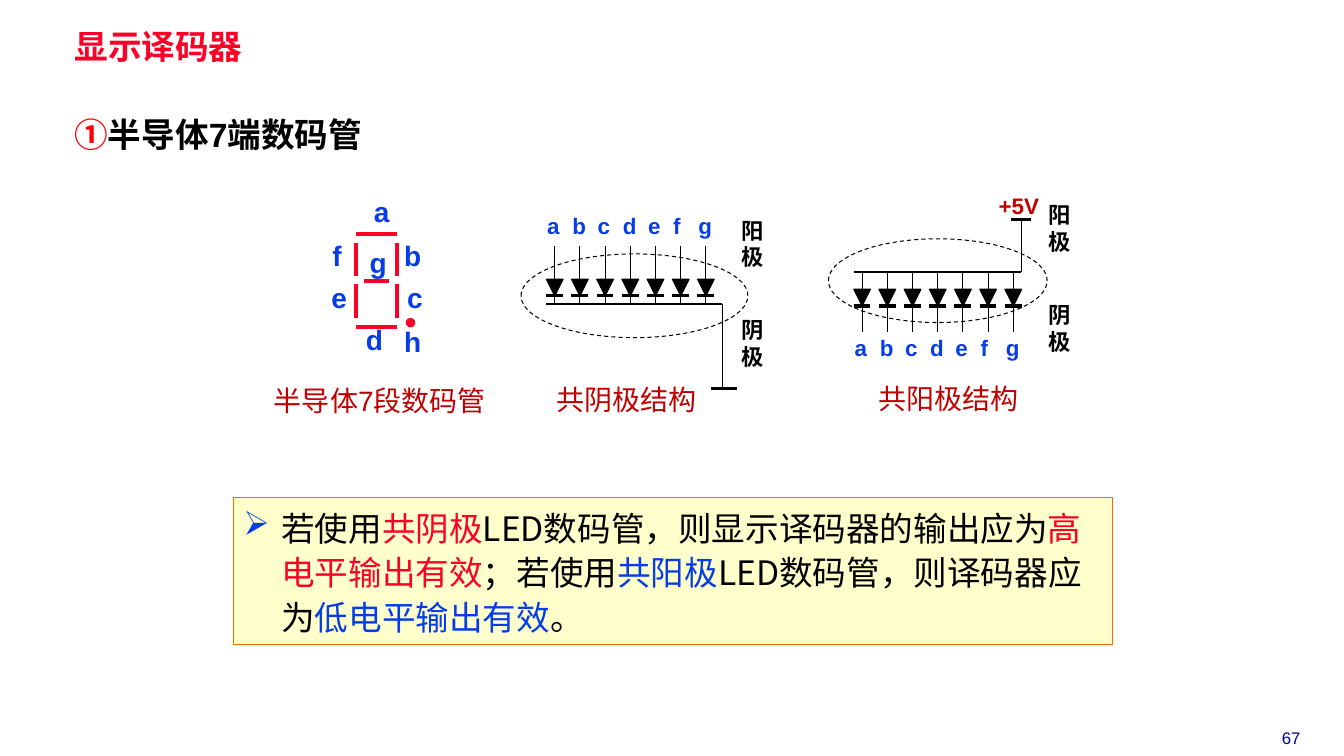
import pptx
import pptx.util
import pptx.dml.color
import pptx.enum.dml
import pptx.enum.shapes
import pptx.enum.text
import pptx.oxml.ns
from lxml import etree

Pt = pptx.util.Pt
RGBColor = pptx.dml.color.RGBColor
SHAPE = pptx.enum.shapes.MSO_SHAPE
ALIGN = pptx.enum.text.PP_ALIGN
qn = pptx.oxml.ns.qn

BLACK = RGBColor(0x00, 0x00, 0x00)
RED = RGBColor(0xFC, 0x01, 0x28)
NUMBER_RED = RGBColor(0xFF, 0x00, 0x00)
BLUE = RGBColor(0x06, 0x3D, 0xE8)
DARK_RED = RGBColor(0xC0, 0x00, 0x00)
NAVY = RGBColor(0x00, 0x00, 0x99)
CREAM = RGBColor(0xFF, 0xFF, 0xCC)
ORANGE = RGBColor(0xFF, 0x66, 0x00)
CJK = "Noto Sans CJK SC"

prs = pptx.Presentation()
prs.slide_width, prs.slide_height = Pt(960), Pt(540)
s = prs.slides.add_slide(prs.slide_layouts[6])


def add_text(box, text, size, color, bold=False, font="Arial", spacing=None, align=None):
    sp = s.shapes.add_textbox(*[Pt(v) for v in box])
    tf = sp.text_frame
    tf.word_wrap = True
    tf.text = text
    p = tf.paragraphs[0]
    p.alignment = align
    p.line_spacing = spacing
    r = p.runs[0]
    r.font.size, r.font.bold, r.font.name = Pt(size), bold, font
    r.font.color.rgb = color
    etree.SubElement(r.font._element, qn("a:ea")).set("typeface", CJK)
    return sp


def add_line(x1, y1, x2, y2, color, width):
    c = s.shapes.add_connector(pptx.enum.shapes.MSO_CONNECTOR.STRAIGHT,
                               Pt(x1), Pt(y1), Pt(x2), Pt(y2))
    c.line.color.rgb = color
    c.line.width = Pt(width)
    etree.SubElement(c._element.spPr, qn("a:effectLst"))


# Page number and headings
add_text((888.5, 516.2, 67.7, 21.6), "67", 12, NAVY, align=ALIGN.CENTER)
title = add_text((48.2, 20.2, 414, 29.5), "显示译码器", 24, RED, True,
                 "Times New Roman", 0.87)
heading = add_text((48.2, 70.6, 660.2, 38.2), "半导体7端数码管", 24, BLACK, True, spacing=1.3)
for sp in (title, heading):
    tf = sp.text_frame
    tf.margin_left = tf.margin_right = Pt(5)
    tf.margin_top = tf.margin_bottom = Pt(2.2)
pPr = heading.text_frame.paragraphs[0]._p.get_or_add_pPr()
pPr.set("marL", str(Pt(13.5)))
pPr.set("indent", str(Pt(-36)))
clr = etree.SubElement(pPr, qn("a:buClr"))
etree.SubElement(clr, qn("a:srgbClr")).set("val", str(NUMBER_RED))
etree.SubElement(pPr, qn("a:buAutoNum")).set("type", "circleNumDbPlain")

# Seven-segment display
left, right = 254.2, 283.7
for top, bottom in ((173.5, 197.3), (203, 227.5)):
    for x in (left, right):
        add_line(x, top, x, bottom, RED, 3)
for x1, x2, y in ((left, right, 167), (left, right, 233.3), (259.9, 277.9, 200.9)):
    add_line(x1, y, x2, y, RED, 3)
dot = s.shapes.add_shape(SHAPE.OVAL, Pt(290.2), Pt(227.5), Pt(6), Pt(6))
dot.shadow.inherit = False
dot.fill.solid()
dot.fill.fore_color.rgb = RED
dot.line.color.rgb = RED
dot.line.width = Pt(0.75)
for letter, x, y in (("a", 259.9, 143.3), ("b", 281.5, 174.2), ("c", 283.7, 204.5),
                     ("d", 254.2, 234.7), ("e", 229.7, 204.5), ("f", 230.4, 174.2),
                     ("g", 257, 179.3), ("h", 281.5, 236.2)):
    add_text((x, y, 30.2, 23.8), letter, 20, BLUE, True, spacing=0.64, align=ALIGN.JUSTIFY)
add_text((188.6, 270.7, 190.8, 31.7), "半导体7段数码管", 20, DARK_RED)

# Common-cathode and common-anode circuits
circuits = (
    dict(x=390.2, diode_y=199.4, wire=(175.7, 217.4), rail=(217.4, 515.5),
         lead=(516.2, 277.2), terminal=(507.6, 526.3), oval=(372.2, 181.4, 162, 59.8),
         letters=(383.8, 154.1), poles=(522.7, 151.2), caption=("共阴极结构", 390.2, 270)),
    dict(x=609.8, diode_y=206.6, wire=(194.4, 236.9), rail=(194.4, 729.4),
         lead=(729.4, 157), terminal=(722.2, 736.6), oval=(591.8, 170.6, 156.2, 59.8),
         letters=(603.4, 241.2), poles=(741.6, 140.4), caption=("共阳极结构", 620.6, 269.3)),
)
PITCH, DIODE = 18, 12
for c in circuits:
    for i in range(7):
        x = c["x"] + i * PITCH
        sp = s.shapes.add_shape(SHAPE.ISOSCELES_TRIANGLE, Pt(x), Pt(c["diode_y"]),
                                Pt(DIODE), Pt(DIODE))
        sp.rotation = 180
        sp.shadow.inherit = False
        sp.fill.solid()
        sp.fill.fore_color.rgb = BLACK
        sp.line.color.rgb = BLACK
        sp.line.width = Pt(0.75)
        bar_y = c["diode_y"] + DIODE
        add_line(x, bar_y, x + DIODE, bar_y, BLACK, 2.25)
        add_line(x + DIODE / 2, c["wire"][0], x + DIODE / 2, c["wire"][1], BLACK, 0.75)

    rail_y, rail_end = c["rail"]
    lead_x, lead_y = c["lead"]
    add_line(c["x"], rail_y, rail_end, rail_y, BLACK, 1.5)
    add_line(lead_x, rail_y, lead_x, lead_y, BLACK, 0.75)
    add_line(c["terminal"][0], lead_y, c["terminal"][1], lead_y, BLACK, 2.25)

    sp = s.shapes.add_shape(SHAPE.OVAL, *[Pt(v) for v in c["oval"]])
    sp.shadow.inherit = False
    sp.fill.background()
    sp.line.color.rgb = BLACK
    sp.line.width = Pt(0.75)
    sp.line.dash_style = pptx.enum.dml.MSO_LINE.DASH

    sp = add_text((*c["letters"], 155, 20.2), "\t".join("abcdefg"), 16, BLUE, True,
                  spacing=0.64, align=ALIGN.LEFT)
    tabs = etree.SubElement(sp.text_frame.paragraphs[0]._p.get_or_add_pPr(), qn("a:tabLst"))
    for i in range(1, 7):
        etree.SubElement(tabs, qn("a:tab"), pos=str(Pt(i * PITCH)), algn="l")

    pole_x, pole_y = c["poles"]
    for pole, y in (("阳极", pole_y), ("阴极", pole_y + 71)):
        add_text((pole_x, y, 36, 46), pole, 16, BLACK, True, align=ALIGN.JUSTIFY)
    name, x, y = c["caption"]
    add_text((x, y, 126, 31), name, 20, DARK_RED, align=ALIGN.JUSTIFY)
add_text((706.3, 133.9, 57.6, 26.6), "+5V", 16, DARK_RED, True)

# Conclusion box
sp = s.shapes.add_shape(SHAPE.RECTANGLE, Pt(166.8), Pt(355.7), Pt(627.8), Pt(104.4))
sp.shadow.inherit = False
sp.fill.solid()
sp.fill.fore_color.rgb = CREAM
sp.line.color.rgb = ORANGE
sp.line.width = Pt(0.75)
tf = sp.text_frame
tf.word_wrap = True
tf.vertical_anchor = pptx.enum.text.MSO_ANCHOR.TOP
p = tf.paragraphs[0]
p.alignment = ALIGN.LEFT
p.line_spacing = Pt(32)
pPr = p._p.get_or_add_pPr()
pPr.set("marL", str(Pt(27)))
pPr.set("indent", str(Pt(-27)))
clr = etree.SubElement(pPr, qn("a:buClr"))
etree.SubElement(clr, qn("a:srgbClr")).set("val", str(BLUE))
etree.SubElement(pPr, qn("a:buChar")).set("char", "➢")
for text, color in (("若使用", BLACK), ("共阴极", RED),
                    ("LED数码管，则显示译码器的输出应为", BLACK), ("高电平输出有效", RED),
                    ("；若使用", BLACK), ("共阳极", BLUE), ("LED数码管，则译码器应为", BLACK),
                    ("低电平输出有效", BLUE), ("。", BLACK)):
    r = p.add_run()
    r.text = text
    r.font.size, r.font.name = Pt(24), CJK
    r.font.color.rgb = color
    etree.SubElement(r.font._element, qn("a:ea")).set("typeface", CJK)

prs.save("out.pptx")
